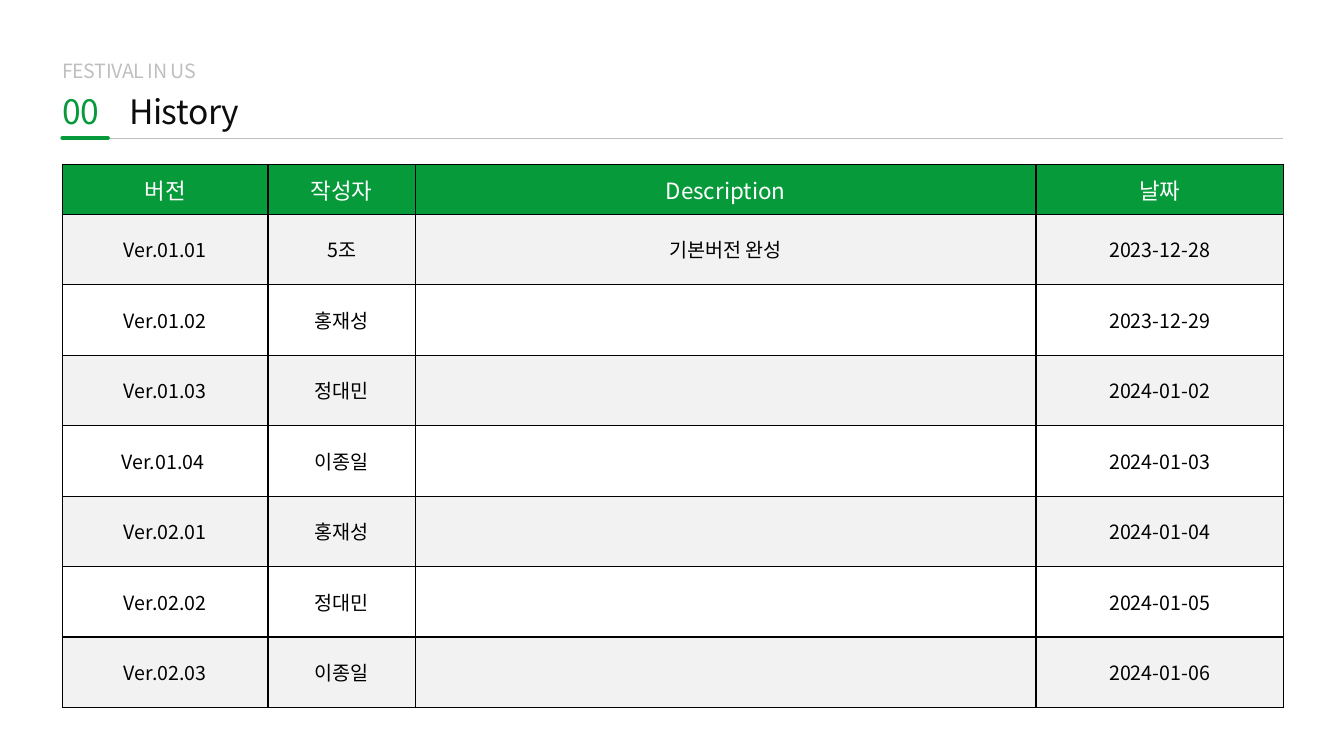
from lxml import etree
from pptx import Presentation
from pptx.dml.color import RGBColor
from pptx.enum.shapes import MSO_CONNECTOR
from pptx.enum.text import MSO_ANCHOR, MSO_AUTO_SIZE, PP_ALIGN
from pptx.oxml.ns import qn
from pptx.util import Pt

STRAIGHT = MSO_CONNECTOR.STRAIGHT
TOP, MIDDLE, BOTTOM = MSO_ANCHOR.TOP, MSO_ANCHOR.MIDDLE, MSO_ANCHOR.BOTTOM
CENTER = PP_ALIGN.CENTER
FIT_SHAPE = MSO_AUTO_SIZE.SHAPE_TO_FIT_TEXT

GREEN = RGBColor(0x06, 0x9A, 0x3A)
SILVER = RGBColor(0xBF, 0xBF, 0xBF)
INK = RGBColor(0x0D, 0x0D, 0x0D)
BLACK = RGBColor(0, 0, 0)
WHITE = RGBColor(0xFF, 0xFF, 0xFF)
BAND = RGBColor(0xF2, 0xF2, 0xF2)
FONT = "Noto Sans CJK KR"

# Content
LEFT, RIGHT, RULE_Y, TAB_RIGHT = 44.6, 916.6, 98.6, 77
HEADINGS = [  # text, left, top, width, height, size, color, anchor
    ("FESTIVAL IN US", LEFT, 41.8, 98.6, 17.3, 14, SILVER, BOTTOM),
    ("00", LEFT, 64.8, 33.1, 28.8, 24, GREEN, TOP),
    ("History", 92.2, 64.8, 82.8, 28.8, 24, INK, TOP),
]
RULES = [  # left, right, color, weight, cap
    (TAB_RIGHT, RIGHT, SILVER, 0.5, "flat"),
    (LEFT, TAB_RIGHT, GREEN, 3, "rnd"),
]
HISTORY = [
    ("버전", "작성자", "Description", "날짜"),
    ("Ver.01.01", "5조", "기본버전 완성", "2023-12-28"),
    ("Ver.01.02", "홍재성", "", "2023-12-29"),
    ("Ver.01.03", "정대민", "", "2024-01-02"),
    ("Ver.01.04 ", "이종일", "", "2024-01-03"),
    ("Ver.02.01", "홍재성", "", "2024-01-04"),
    ("Ver.02.02", "정대민", "", "2024-01-05"),
    ("Ver.02.03", "이종일", "", "2024-01-06"),
]
COLUMN_WIDTHS = [146.9, 105.1, 443.5, 176.5]
TABLE_TOP, HEADER_HEIGHT, ROW_HEIGHT = 117.4, 35.6, 50.35
CELL_MARGIN = 2.2


def style_text(para, size, color):
    for span in para.runs:
        span.font.name = FONT
        span.font.size = Pt(size)
        span.font.color.rgb = color
        east_asian = etree.SubElement(span.font._element, qn("a:ea"))
        east_asian.set("typeface", FONT)


def add_heading(page, text, left, top, width, height, size, color, anchor):
    box = page.shapes.add_textbox(Pt(left), Pt(top), Pt(width), Pt(height))
    frame = box.text_frame
    frame.margin_left = frame.margin_right = frame.margin_top = frame.margin_bottom = 0
    frame.word_wrap = False
    frame.auto_size = FIT_SHAPE
    frame.vertical_anchor = anchor
    frame.text = text
    para = frame.paragraphs[0]
    style_text(para, size, color)
    para.runs[0].font._element.set("spc", "-30")


def add_rule(page, left, right, color, weight, cap):
    rule = page.shapes.add_connector(STRAIGHT, Pt(left), Pt(RULE_Y), Pt(right), Pt(RULE_Y))
    rule.line.color.rgb = color
    rule.line.width = Pt(weight)
    properties = rule._element.spPr
    properties.find(qn("a:ln")).set("cap", cap)
    etree.SubElement(properties, qn("a:effectLst"))


def add_borders(cell):
    properties = cell._tc.get_or_add_tcPr()
    for position, side in enumerate(("a:lnL", "a:lnR", "a:lnT", "a:lnB")):
        border = etree.Element(qn(side), w=str(Pt(1)))
        fill = etree.SubElement(border, qn("a:solidFill"))
        etree.SubElement(fill, qn("a:srgbClr"), val=str(BLACK))
        properties.insert(position, border)


def fill_cell(cell, text, row):
    header = row == 0
    cell.margin_left = cell.margin_right = Pt(CELL_MARGIN)
    cell.margin_top = cell.margin_bottom = Pt(CELL_MARGIN)
    cell.vertical_anchor = MIDDLE
    cell.fill.solid()
    cell.fill.fore_color.rgb = GREEN if header else BAND if row % 2 else WHITE
    add_borders(cell)
    if text:
        cell.text_frame.text = text
        para = cell.text_frame.paragraphs[0]
        para.alignment = CENTER
        style_text(para, 16 if header else 14, WHITE if header else BLACK)


def add_history(page):
    heights = [HEADER_HEIGHT] + [ROW_HEIGHT] * (len(HISTORY) - 1)
    table = page.shapes.add_table(
        len(HISTORY), len(COLUMN_WIDTHS), Pt(LEFT), Pt(TABLE_TOP),
        Pt(sum(COLUMN_WIDTHS)), Pt(sum(heights))).table
    for column, width in zip(table.columns, COLUMN_WIDTHS):
        column.width = Pt(width)
    for row, (height, texts) in enumerate(zip(heights, HISTORY)):
        table.rows[row].height = Pt(height)
        for column, text in enumerate(texts):
            fill_cell(table.cell(row, column), text, row)


def main():
    deck = Presentation()
    deck.slide_width, deck.slide_height = Pt(960), Pt(540)
    page = deck.slides.add_slide(deck.slide_layouts[6])

    # Title area
    for heading in HEADINGS:
        add_heading(page, *heading)
    for rule in RULES:
        add_rule(page, *rule)

    # Version history
    add_history(page)
    deck.save("out.pptx")


if __name__ == "__main__":
    main()
